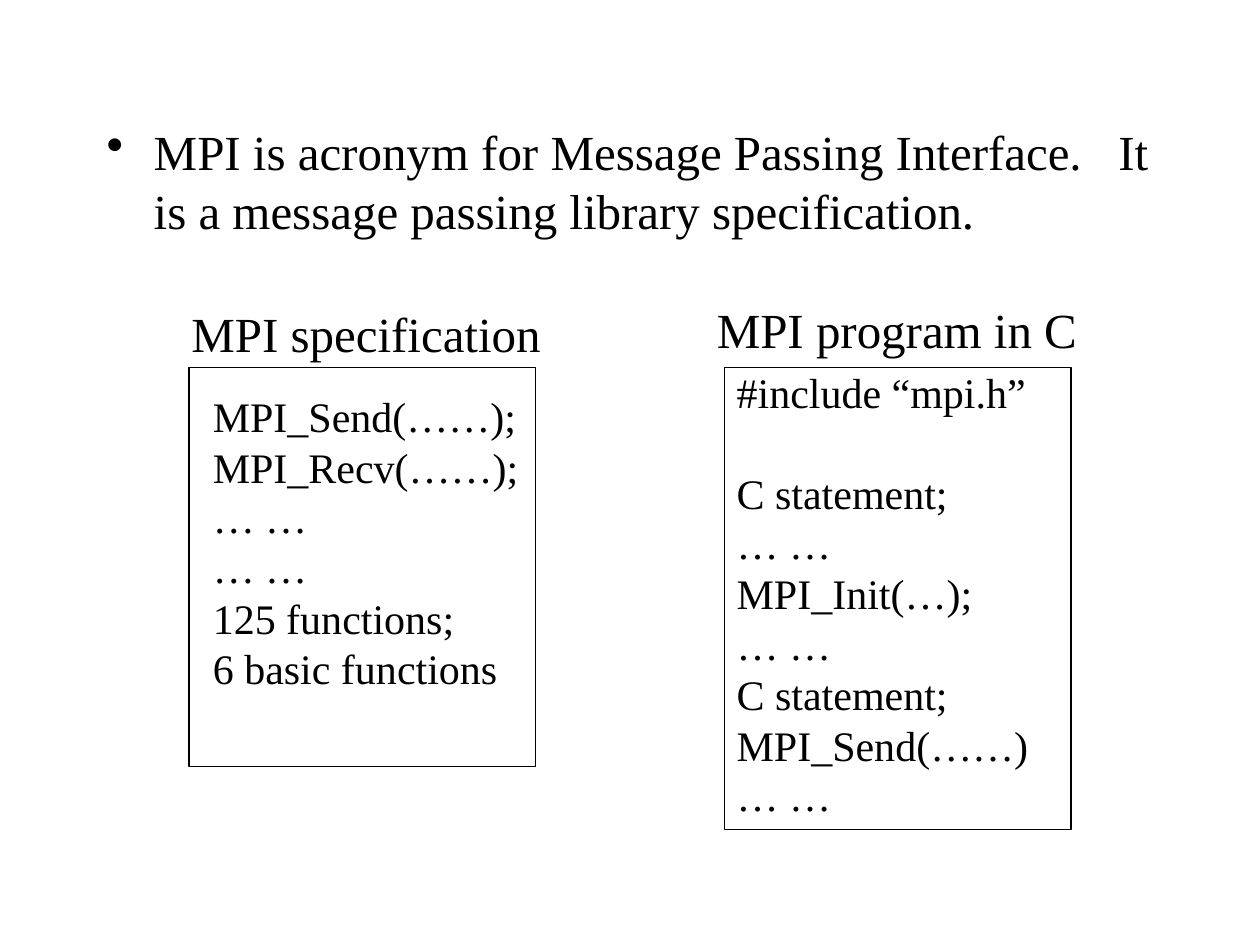
"""Build a slide that introduces MPI with its specification and a C program."""
import dataclasses

import pptx
import pptx.dml.color
import pptx.enum.shapes
import pptx.enum.text
import pptx.oxml.ns
import pptx.util
from lxml import etree

Cm, Pt = pptx.util.Cm, pptx.util.Pt


@dataclasses.dataclass(frozen=True)
class Theme:
    font: str = "Times New Roman"
    ink: pptx.dml.color.RGBColor = pptx.dml.color.RGBColor(0, 0, 0)
    heading: int = 28
    code: int = 24
    outline: float = 0.75


theme = Theme()


def add_text(slide, box, lines, size, wrap=False):
    shape = slide.shapes.add_textbox(*map(Cm, box))
    frame = shape.text_frame
    frame.word_wrap = wrap
    frame.auto_size = pptx.enum.text.MSO_AUTO_SIZE.NONE
    frame.text = "\n".join(lines)
    for paragraph in frame.paragraphs:
        paragraph.font.name = theme.font
        paragraph.font.size = Pt(size)
        paragraph.font.color.rgb = theme.ink
    return frame


def add_bullet(paragraph, indent, tab_gap, tab_count):
    properties = paragraph._p.get_or_add_pPr()
    properties.set("marL", str(Cm(indent)))
    properties.set("indent", str(-Cm(indent)))
    bullet = etree.Element(pptx.oxml.ns.qn("a:buChar"), char="•")
    tabs = etree.Element(pptx.oxml.ns.qn("a:tabLst"))
    for number in range(1, tab_count + 1):
        etree.SubElement(tabs, pptx.oxml.ns.qn("a:tab"), pos=str(Cm(tab_gap * number)), algn="l")
    default_font = properties.find(pptx.oxml.ns.qn("a:defRPr"))
    default_font.addprevious(bullet)
    default_font.addprevious(tabs)


presentation = pptx.Presentation()
presentation.slide_width, presentation.slide_height = Cm(25.4), Cm(19.05)
slide = presentation.slides.add_slide(presentation.slide_layouts[6])

definition = "MPI is acronym for Message Passing Interface. \t It is a message passing library specification."
body = add_text(slide, (1.9, 2.33, 21.6, 14.6), [definition], theme.heading, wrap=True)
add_bullet(body.paragraphs[0], indent=0.95, tab_gap=2.54, tab_count=8)

specification = ["MPI_Send(……);", "MPI_Recv(……);", "… …", "… …", "125 functions;", "6 basic functions"]
program = ["#include “mpi.h”", "C statement;", "… …", "MPI_Init(…);", "… …",
           "C statement;", "MPI_Send(……)", "… …"]
panels = [
    ((3.81, 7.41, 6.99, 8.05), "MPI specification", (3.61, 6, 7.54, 1.45),
     specification, (4.04, 7.75, 6.65, 6.35)),
    ((14.6, 7.41, 6.99, 9.31), "MPI program in C", (14.2, 5.92, 7.77, 1.45),
     program, (14.6, 7.26, 6.38, 9.4)),
]
for frame_box, title, title_box, lines, lines_box in panels:
    panel = slide.shapes.add_shape(pptx.enum.shapes.MSO_SHAPE.RECTANGLE, *map(Cm, frame_box))
    panel.shadow.inherit = False
    panel.fill.background()
    panel.line.color.rgb = theme.ink
    panel.line.width = Pt(theme.outline)
    add_text(slide, title_box, [title], theme.heading)
    code = add_text(slide, lines_box, lines, theme.code)
code.paragraphs[1].space_before = Pt(theme.code * 1.2)

presentation.save("out.pptx")
